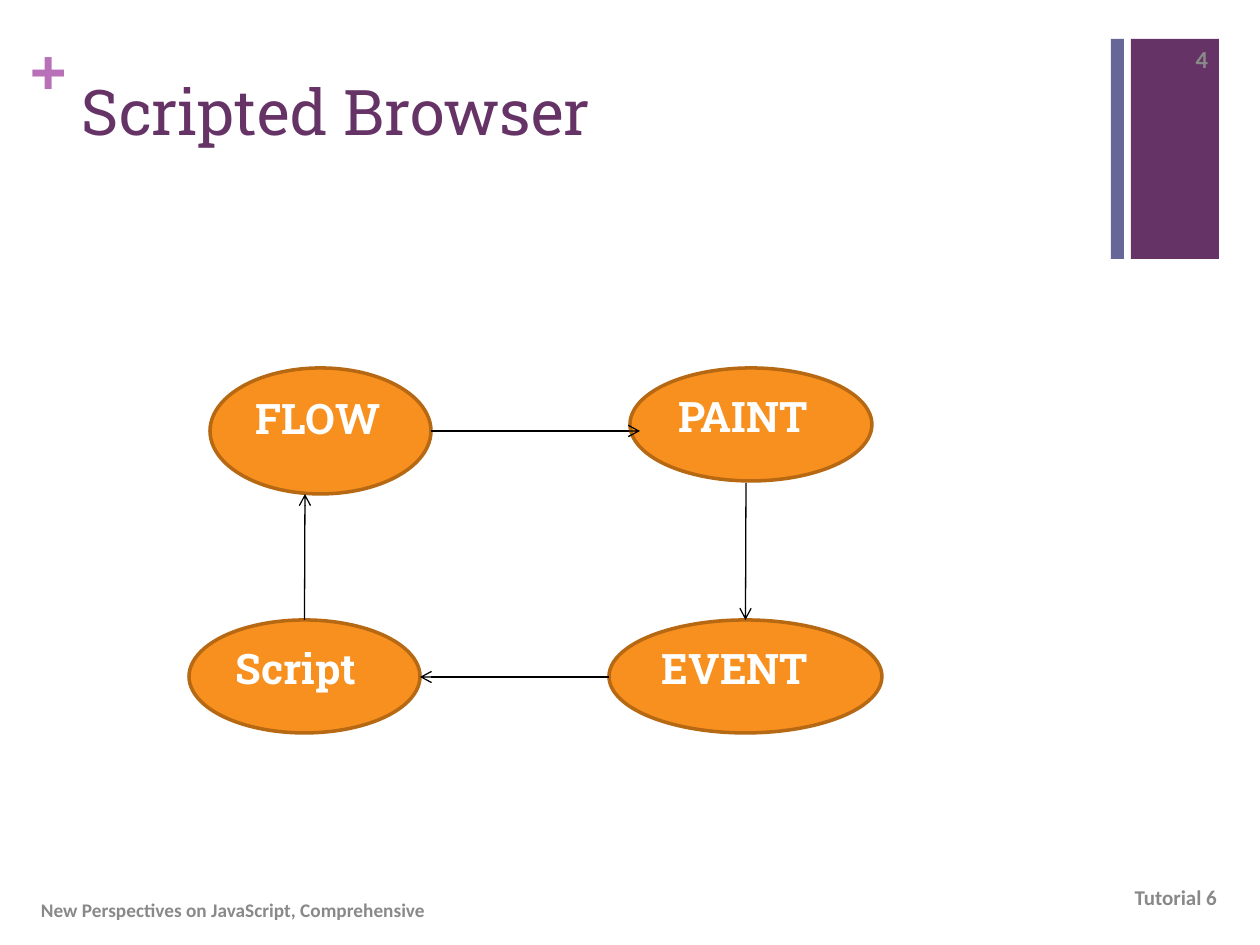
from pptx import Presentation
from pptx.dml.color import RGBColor
from pptx.enum.shapes import MSO_CONNECTOR, MSO_SHAPE
from pptx.enum.text import MSO_ANCHOR, PP_ALIGN
from pptx.oxml.ns import qn
from pptx.util import Pt
from lxml.etree import SubElement

PX = 914400 // 126
PURPLE = RGBColor(0x66, 0x33, 0x66)
SLATE = RGBColor(0x66, 0x66, 0x99)
ORCHID = RGBColor(0xB8, 0x70, 0xB8)
GRAY = RGBColor(0x89, 0x89, 0x89)
ORANGE = RGBColor(0xF7, 0x90, 0x1E)
BROWN = RGBColor(0xB6, 0x68, 0x13)
WHITE = RGBColor(0xFF, 0xFF, 0xFF)
BLACK = RGBColor(0, 0, 0)

BARS = [((1131, 39, 88, 220), PURPLE), ((1111, 39, 13, 220), SLATE)]
INSET = (13, 6)
LABELS = [
    ("+", (30, 32, 35, 76), (0, 0), "Arial", 36, ORCHID, True, PP_ALIGN.LEFT, MSO_ANCHOR.TOP),
    ("Scripted Browser", (69, 67, 1041, 154), INSET, "Roboto Slab", 36, PURPLE, False,
     PP_ALIGN.LEFT, MSO_ANCHOR.TOP),
    ("Tutorial 6", (936, 885, 294, 50), (13, 0), "Calibri", 12, GRAY, True,
     PP_ALIGN.RIGHT, MSO_ANCHOR.TOP),
    ("New Perspectives on JavaScript, Comprehensive", (28, 885, 844, 50), INSET, "Calibri", 11,
     GRAY, True, PP_ALIGN.LEFT, MSO_ANCHOR.MIDDLE),
    ("4", (1144, 34, 77, 50), INSET, "Calibri", 14, GRAY, True,
     PP_ALIGN.RIGHT, MSO_ANCHOR.MIDDLE),
]
STAGES = {
    "FLOW": (210, 368, 221, 126),
    "PAINT": (630, 368, 242, 113),
    "Script": (189, 620, 231, 113),
    "EVENT": (609, 620, 273, 113),
}
ARROWS = [
    ((431, 431), (640, 431), None, None),
    ((746, 483), (746, 620), None, "EVENT"),
    ((609, 677), (420, 677), None, None),
    ((305, 620), (305, 494), "Script", None),
]
TOP_SITE = 0


def emu(lengths):
    return [length * PX for length in lengths]


def write(shape, text, inset, font_name, size, color, bold, align, anchor):
    frame = shape.text_frame
    frame.text = text
    frame.word_wrap = True
    frame.vertical_anchor = anchor
    frame.margin_left = frame.margin_right = inset[0] * PX
    frame.margin_top = frame.margin_bottom = inset[1] * PX
    paragraph = frame.paragraphs[0]
    paragraph.alignment = align
    font = paragraph.runs[0].font
    font.name, font.size, font.bold = font_name, Pt(size), bold
    font.color.rgb = color


def add_filled(shapes, kind, box, fill):
    shape = shapes.add_shape(kind, *emu(box))
    shape.shadow.inherit = False
    shape.fill.solid()
    shape.fill.fore_color.rgb = fill
    return shape


def add_arrow(shapes, start, end, source, target):
    arrow = shapes.add_connector(MSO_CONNECTOR.STRAIGHT, *emu(start + end))
    if source:
        arrow.begin_connect(source, TOP_SITE)
    if target:
        arrow.end_connect(target, TOP_SITE)
    arrow.line.color.rgb = BLACK
    arrow.line.width = Pt(0.75)
    SubElement(arrow.line._get_or_add_ln(), qn("a:tailEnd"), type="arrow")
    SubElement(arrow._element.spPr, qn("a:effectLst"))


def main():
    presentation = Presentation()
    presentation.slide_width, presentation.slide_height = emu((1260, 945))
    shapes = presentation.slides.add_slide(presentation.slide_layouts[6]).shapes

    for box, color in BARS:
        add_filled(shapes, MSO_SHAPE.RECTANGLE, box, color).line.fill.background()

    for text, box, *style in LABELS:
        write(shapes.add_textbox(*emu(box)), text, *style)

    ovals = {}
    for stage, box in STAGES.items():
        oval = add_filled(shapes, MSO_SHAPE.OVAL, box, ORANGE)
        oval.line.color.rgb = BROWN
        oval.line.width = Pt(2)
        write(oval, stage, INSET, "Roboto Slab", 24, WHITE, True, PP_ALIGN.LEFT, MSO_ANCHOR.TOP)
        ovals[stage] = oval

    for start, end, source, target in ARROWS:
        add_arrow(shapes, start, end, ovals.get(source), ovals.get(target))

    presentation.save("out.pptx")


if __name__ == "__main__":
    main()
